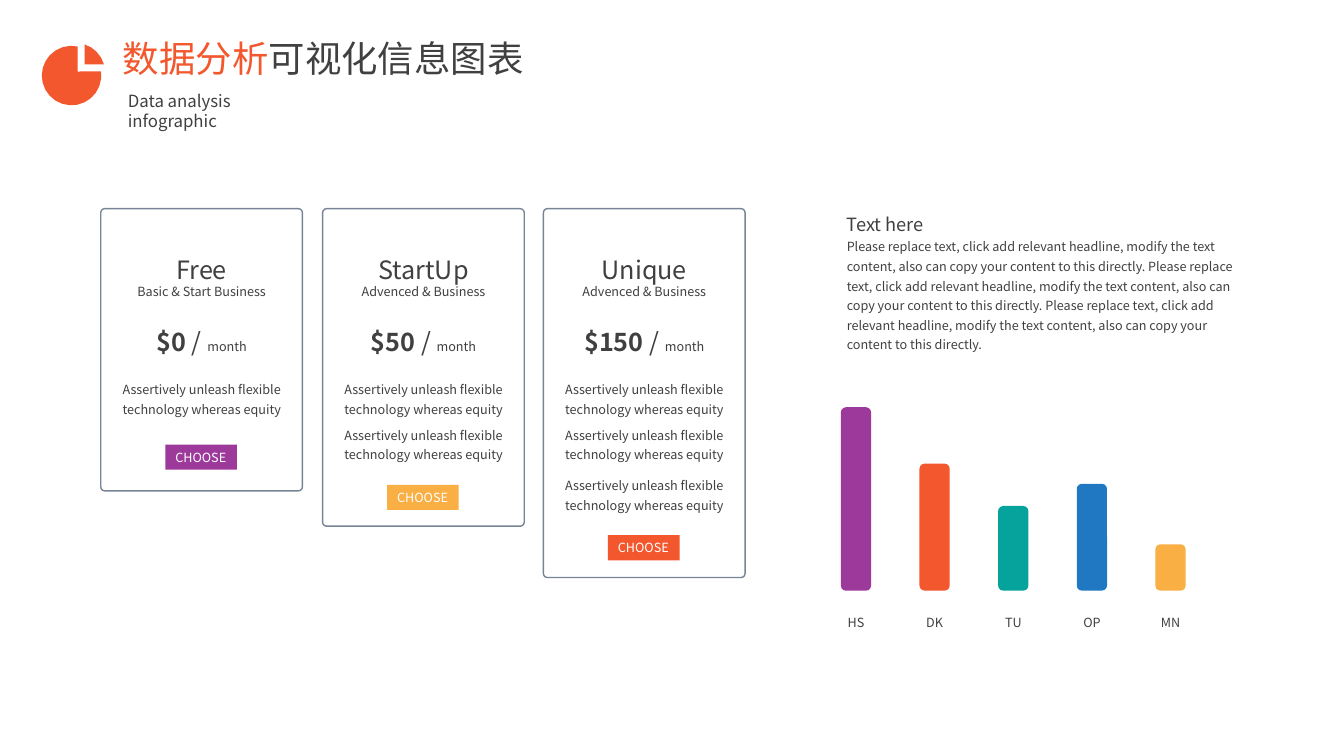
import math

import pptx
import pptx.dml.color
import pptx.enum.shapes
import pptx.enum.text
import pptx.oxml.ns
import pptx.util

RGB = pptx.dml.color.RGBColor
ORANGE = RGB(0xF3, 0x57, 0x2D)
PURPLE = RGB(0x9D, 0x39, 0x9B)
YELLOW = RGB(0xF9, 0xAF, 0x44)
TEAL = RGB(0x05, 0xA3, 0x9C)
BLUE = RGB(0x20, 0x78, 0xC2)
DARK = RGB(0x40, 0x40, 0x40)
SLATE = RGB(0x77, 0x84, 0x96)
WHITE = RGB(0xFF, 0xFF, 0xFF)

FONT = "Noto Sans CJK SC"
PX = 9144
KIND = pptx.enum.shapes.MSO_SHAPE
ALIGN = pptx.enum.text.PP_ALIGN
FIT = pptx.enum.text.MSO_AUTO_SIZE

CARDS = [
    ("Free", "Basic & Start Business", "$0 ", 280, 441, PURPLE),
    ("StartUp", "Advenced & Business", "$50 ", 315, 481, YELLOW),
    ("Unique", "Advenced & Business", "$150 ", 366, 531, ORANGE),
]
PERKS = [370, 415, 465]
PERK = "Assertively unleash flexible technology whereas equity"
BARS = [
    ("HS", 182, PURPLE),
    ("DK", 126, ORANGE),
    ("TU", 84, TEAL),
    ("OP", 106, BLUE),
    ("MN", 46, YELLOW),
]
BODY = " ".join([
    "Please replace text, click add relevant headline, modify the text content, "
    "also can copy your content to this directly."
] * 3)


def scale(*sizes):
    return [round(size * PX) for size in sizes]


def run(text, size=9, tint=DARK, bold=False):
    return text, size, tint, bold


def write(frame, *lines, align=ALIGN.LEFT, pitch=1.2, wrap=False):
    frame.word_wrap = wrap
    frame.auto_size = FIT.SHAPE_TO_FIT_TEXT
    for i, line in enumerate(lines):
        para = frame.add_paragraph() if i else frame.paragraphs[0]
        para.alignment = align
        para.line_spacing = pptx.util.Pt(round(line[0][1] * pitch, 1))
        for text, size, tint, bold in line:
            part = para.add_run()
            part.text = text
            font = part.font
            font.name = FONT
            font.size = pptx.util.Pt(size)
            font.bold = bold
            font.color.rgb = tint
            east = font._element.makeelement(pptx.oxml.ns.qn("a:ea"), {"typeface": FONT})
            font._element.find(pptx.oxml.ns.qn("a:latin")).addnext(east)


def label(slide, box, *lines, **style):
    shape = slide.shapes.add_textbox(*scale(*box))
    write(shape.text_frame, *lines, **style)


def block(slide, kind, box, fill=None, line=None):
    shape = slide.shapes.add_shape(kind, *scale(*box))
    shape.shadow.inherit = False
    if fill:
        shape.fill.solid()
        shape.fill.fore_color.rgb = fill
    else:
        shape.fill.background()
    if line:
        shape.line.color.rgb = line
        shape.line.width = pptx.util.Pt(1)
    else:
        shape.line.fill.background()
    return shape


def arc(x, y, size, start, end, count):
    turns = [math.radians(start + (end - start) * i / count) for i in range(count + 1)]
    return [scale(x + size * math.cos(t), y + size * math.sin(t)) for t in turns]


def pie(slide):
    disc = [scale(77, 71)] + arc(71, 75, 29.5, -8, 282, 20)
    wedge = [scale(84, 64)] + arc(75, 72, 29.3, -72, -16, 4)
    pen = slide.shapes.build_freeform(*disc[0], scale=1)
    pen.add_line_segments(disc[1:])
    pen.move_to(*wedge[0])
    pen.add_line_segments(wedge[1:])
    icon = pen.convert_to_shape()
    icon.shadow.inherit = False
    icon.fill.solid()
    icon.fill.fore_color.rgb = ORANGE
    icon.line.fill.background()


def card(slide, left, perks, name, note, price, high, base, tint):
    frame = block(slide, KIND.ROUNDED_RECTANGLE, (left, 207, 200, high), line=SLATE)
    frame.adjustments[0] = 0.02
    label(slide, (left + 25, 247, 150, 56), [run(name, 18)], [run(note)], align=ALIGN.CENTER)
    label(slide, (left + 30, 319, 140, 40),
          [run(price, 18, bold=True), run("/ ", 18), run("month")], align=ALIGN.CENTER)
    for top in perks:
        label(slide, (left + 7, top, 186, 49), [run(PERK)],
              align=ALIGN.CENTER, pitch=1.56, wrap=True)
    button = block(slide, KIND.RECTANGLE, (left + 64, base, 71, 25), fill=tint)
    write(button.text_frame, [run("CHOOSE", tint=WHITE)])


def bar(slide, left, name, high, tint):
    block(slide, KIND.ROUNDED_RECTANGLE, (left, 586 - high, 30, high), fill=tint)
    label(slide, (left - 6, 605, 42, 25), [run(name)], align=ALIGN.CENTER)


def main():
    deck = pptx.Presentation()
    deck.slide_width, deck.slide_height = scale(1333, 750)
    slide = deck.slides.add_slide(deck.slide_layouts[6])
    label(slide, (112, 31, 419, 54),
          [run("数据分析", 26, ORANGE), run("可视化信息图表", 26)])
    pie(slide)
    label(slide, (117, 85, 210, 30), [run("Data analysis infographic", 12)], wrap=True)
    for i, plan in enumerate(CARDS):
        card(slide, 100 + (439 * i + 1) // 2, PERKS[:i + 1], *plan)
    label(slide, (830, 200, 405, 155), [run("Text here", 13)], [run(BODY)],
          pitch=1.55, wrap=True)
    for i, data in enumerate(BARS):
        bar(slide, 834 + 78 * i, *data)
    deck.save("out.pptx")


if __name__ == "__main__":
    main()
